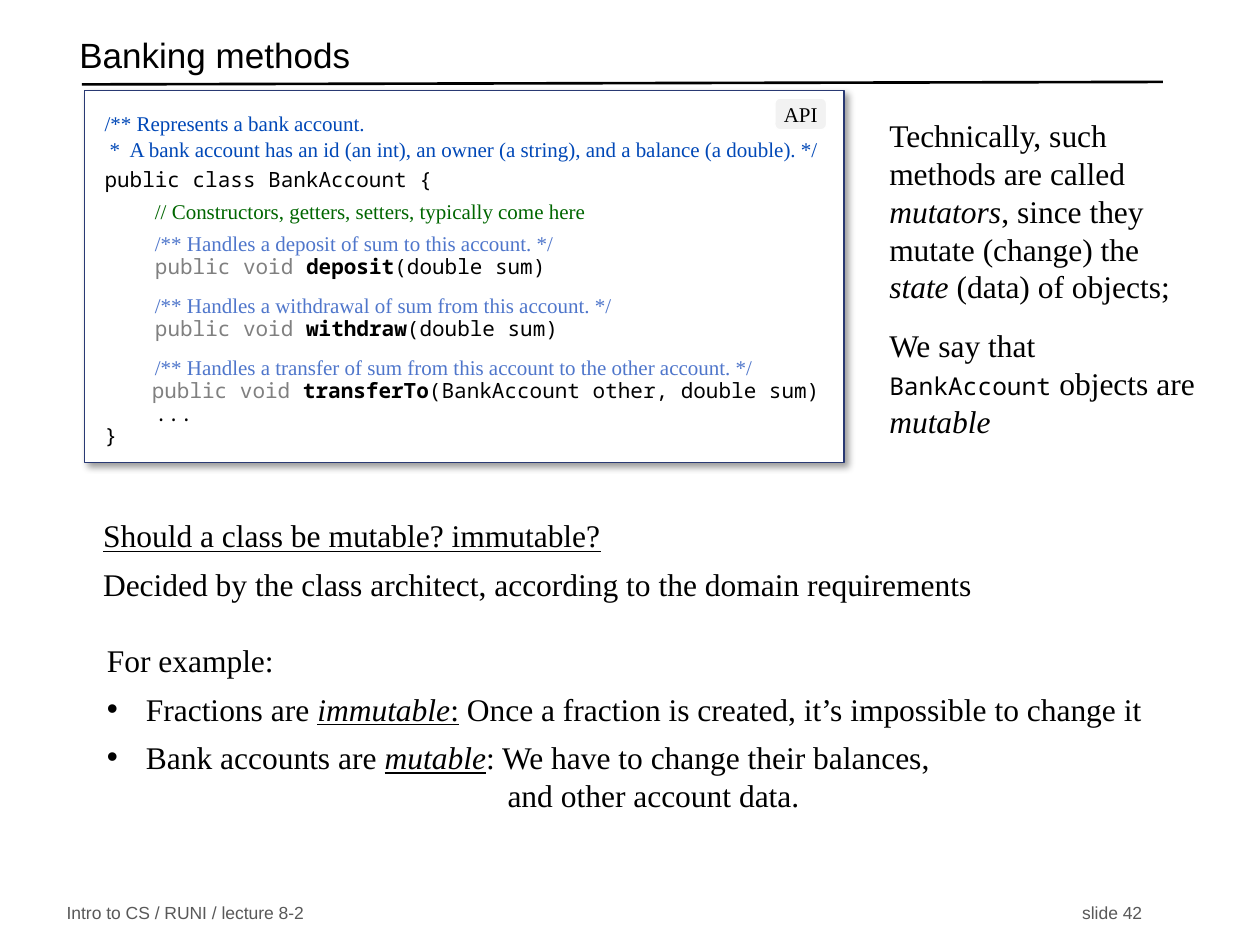
from lxml.etree import SubElement
from pptx import Presentation
from pptx.dml.color import RGBColor
from pptx.enum.shapes import MSO_CONNECTOR, MSO_SHAPE
from pptx.enum.text import MSO_ANCHOR, MSO_AUTO_SIZE, PP_ALIGN
from pptx.oxml.ns import qn
from pptx.util import Inches, Pt

WIDTH, HEIGHT = Inches(10), Inches(7.5)
SERIF, MONO, SANS = "Times New Roman", "Noto Sans Mono", "Arial"
COLORS = {
    "black": "000000", "white": "FFFFFF", "footer": "595959", "border": "293973",
    "label": "F2F2F2", "doc": "0048B7", "method_doc": "4F76CB",
    "comment": "006600", "keyword": "808080",
}
STYLES = {
    "title": {"name": SANS, "size": Pt(20), "color": "black"},
    "footer": {"name": SANS, "size": Pt(10), "color": "footer"},
    "text": {"name": SERIF, "size": Pt(18), "color": "black"},
    "italic": {"name": SERIF, "size": Pt(18), "color": "black", "italic": True},
    "underline": {"name": SERIF, "size": Pt(18), "color": "black", "underline": True},
    "term": {"name": SERIF, "size": Pt(18), "color": "black", "italic": True, "underline": True},
    "inline_code": {"name": MONO, "size": Pt(14), "color": "black"},
    "label": {"name": SERIF, "size": Pt(12), "color": "black"},
    "doc": {"name": SERIF, "size": Pt(12), "color": "doc"},
    "method_doc": {"name": SERIF, "size": Pt(12), "color": "method_doc"},
    "comment": {"name": SERIF, "size": Pt(12), "color": "comment"},
    "code": {"name": MONO, "size": Pt(12), "color": "black"},
    "keyword": {"name": MONO, "size": Pt(12), "color": "keyword"},
    "method": {"name": MONO, "size": Pt(12), "color": "black", "bold": True},
}
TIGHT = {"line_spacing": Pt(12), "space_before": Pt(1)}
LOOSE = {"line_spacing": Pt(12.4), "space_before": Pt(6)}
METHODS = [
    ("/** Handles a deposit of sum to this account. */",
     ("code", "    "), "deposit", "(double sum)", LOOSE),
    ("/** Handles a withdrawal of sum from this account. */",
     ("code", "    "), "withdraw", "(double sum)", {"space_before": Pt(8)}),
    ("/** Handles a transfer of sum from this account to the other account. */",
     ("label", "         "), "transferTo", "(BankAccount other, double sum)",
     {"space_before": Pt(8)}),
]


def share(left, top, width, height):
    return [int(part * whole / 100) for part, whole in
            zip((left, top, width, height), (WIDTH, HEIGHT) * 2)]


def rgb(name):
    return RGBColor.from_string(COLORS[name])


def apply(target, values):
    for name, value in values.items():
        setattr(target, name, value)


def set_frame(shape, anchor, margins):
    frame = shape.text_frame
    sides = ("margin_left", "margin_top", "margin_right", "margin_bottom")
    apply(frame, dict(zip(sides, map(Inches, margins))))
    apply(frame, {"word_wrap": True, "auto_size": MSO_AUTO_SIZE.NONE,
                  "vertical_anchor": anchor})
    return frame


def set_indent(para, left, bullet=False):
    properties = para._p.get_or_add_pPr()
    properties.set("marL", str(Inches(left)))
    properties.set("indent", str(-Inches(left) if bullet else 0))
    if bullet:
        color = SubElement(properties, qn("a:buClr"))
        SubElement(color, qn("a:srgbClr"), val=COLORS["black"])
        SubElement(properties, qn("a:buFont"), typeface=SANS)
        SubElement(properties, qn("a:buChar"), char="•")


def write(frame, paragraphs):
    for index, (spans, values) in enumerate(paragraphs):
        para = frame.add_paragraph() if index else frame.paragraphs[0]
        apply(para, values)
        for style, words in spans:
            span = para.add_run()
            span.text = words
            formats = dict(STYLES[style])
            span.font.color.rgb = rgb(formats.pop("color"))
            apply(span.font, formats)
    return frame.paragraphs


def add_text(page, area, paragraphs, anchor=MSO_ANCHOR.MIDDLE, margins=(0.1, 0.05, 0, 0.05)):
    box = page.shapes.add_textbox(*share(*area))
    return write(set_frame(box, anchor, margins), paragraphs)


def add_panel(page, kind, area, fill, line, paragraphs, anchor, margins):
    panel = page.shapes.add_shape(kind, *share(*area))
    panel.shadow.inherit = False
    panel.fill.solid()
    panel.fill.fore_color.rgb = rgb(fill)
    panel.line.color.rgb = rgb(line)
    panel.line.width = Pt(0.75)
    write(set_frame(panel, anchor, margins), paragraphs)
    return panel


def add_shadow(panel):
    effects = panel._element.spPr.find(qn("a:effectLst"))
    shadow = SubElement(effects, qn("a:outerShdw"), blurRad=str(Pt(4)), dist=str(Pt(3)),
                        dir=str(45 * 60000), algn="tl", rotWithShape="0")
    color = SubElement(shadow, qn("a:srgbClr"), val=COLORS["black"])
    SubElement(color, qn("a:alpha"), val="40000")


def add_rule(page):
    rule = page.shapes.add_connector(MSO_CONNECTOR.STRAIGHT, *share(6.5, 8.93, 92.3, 8.67))
    rule.line.color.rgb = rgb("black")
    rule.line.width = Pt(1.5)
    SubElement(rule._element.spPr, qn("a:effectLst"))


def add_title(page):
    title = page.shapes.title
    names = ("left", "top", "width", "height")
    apply(title, dict(zip(names, share(5.3, 2.93, 86, 6.67))))
    frame = set_frame(title, MSO_ANCHOR.MIDDLE, (0.1, 0.05, 0.1, 0.05))
    write(frame, [([("title", "Banking methods")],
                   {"alignment": PP_ALIGN.LEFT, "line_spacing": 0.7})])


def add_footer(page):
    words = "Intro to CS / RUNI / lecture 8-2\tslide 42"
    para = add_text(page, (4.3, 95.2, 87.1, 2.8), [([("footer", words)], {})])[0]
    tabs = SubElement(para._p.get_or_add_pPr(), qn("a:tabLst"))
    SubElement(tabs, qn("a:tab"), pos=str(Inches(8.06)), algn="l")


def code_lines():
    lines = [
        ([("doc", "/** Represents a bank account.")], {}),
        ([("doc", " *  A bank account has an id (an int), an owner (a string), "
                  "and a balance (a double). */")], {}),
        ([("code", "public class BankAccount {")], {"space_before": Pt(3)}),
        ([("code", "    "),
          ("comment", "// Constructors, getters, setters, typically come here")], LOOSE),
    ]
    for doc, indent, name, signature, spacing in METHODS:
        lines.append(([("code", "    "), ("method_doc", doc)], spacing))
        lines.append(([indent, ("keyword", "public void "), ("method", name),
                       ("code", signature)], TIGHT))
    return lines + [([("code", words)], TIGHT) for words in ("    ...", "}")]


def add_code(page):
    panel = add_panel(page, MSO_SHAPE.RECTANGLE, (6.7, 9.6, 60.3, 39.33), "white", "border",
                      code_lines(), MSO_ANCHOR.TOP, (0.16, 0.16, 0, 0))
    for para in panel.text_frame.paragraphs:
        para.alignment = PP_ALIGN.LEFT
    add_shadow(panel)
    add_panel(page, MSO_SHAPE.ROUNDED_RECTANGLE, (61.5, 10.4, 4.1, 3.33), "label", "white",
              [([("label", "API")], {"alignment": PP_ALIGN.CENTER})],
              MSO_ANCHOR.MIDDLE, (0, 0.05, 0, 0.05))


def add_examples(page):
    gap = {"space_before": Pt(6)}
    paras = add_text(page, (7.5, 67.2, 85.7, 14.53), [
        ([("text", "For example:")], {}),
        ([("text", "Fractions are "), ("term", "immutable"), ("underline", ":"),
          ("text", " Once a fraction is created, it’s impossible to change it")], gap),
        ([("text", "Bank accounts are "), ("term", "mutable"),
          ("text", ": We have to change their balances,")], gap),
        ([("text", "and other account data.")], {}),
    ], MSO_ANCHOR.TOP)
    for para in paras[1:3]:
        set_indent(para, 0.31, bullet=True)
    set_indent(paras[3], 3.18)


def main():
    deck = Presentation()
    deck.slide_width, deck.slide_height = WIDTH, HEIGHT
    page = deck.slides.add_slide(deck.slide_layouts[5])
    add_rule(page)
    add_footer(page)
    add_title(page)
    add_text(page, (69.6, 10.67, 26, 37.47), [
        ([("text", "Technically, such methods are called "), ("italic", "mutators"),
          ("text", ", since they mutate (change) the "), ("italic", "state"),
          ("text", " (data) of objects;")], {}),
        ([("text", "We say that "), ("inline_code", "BankAccount"),
          ("text", " objects are "), ("italic", "mutable")], {"space_before": Pt(12)}),
    ])
    add_examples(page)
    add_text(page, (7.2, 52.27, 81.6, 13.87), [
        ([("underline", "Should a class be mutable? immutable?")], {}),
        ([("text", "Decided by the class architect, according to the domain requirements")],
         {"space_before": Pt(6)}),
    ])
    add_code(page)
    deck.save("out.pptx")


if __name__ == "__main__":
    main()
